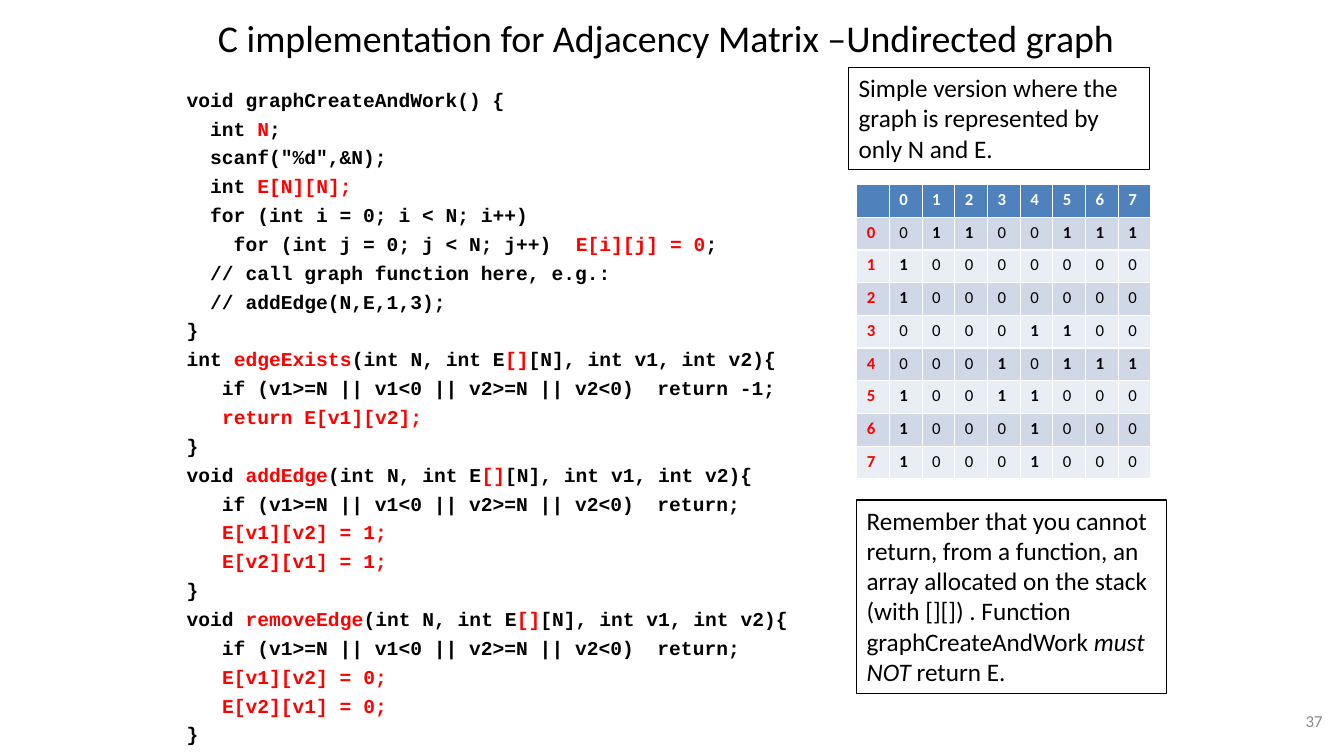
"""Build the slide on the C implementation of an adjacency matrix."""
from dataclasses import dataclass

import pptx
import pptx.dml.color
import pptx.enum.shapes
import pptx.enum.text
import pptx.oxml
import pptx.oxml.ns
import pptx.util
from pptx.util import Cm, Pt

RGBColor = pptx.dml.color.RGBColor
Align = pptx.enum.text.PP_ALIGN
Anchor = pptx.enum.text.MSO_ANCHOR
AutoSize = pptx.enum.text.MSO_AUTO_SIZE


@dataclass(frozen=True)
class Theme:
    text_font: str = "Calibri"
    code_font: str = "Courier New"
    title_size: float = 27
    note_size: float = 18
    code_size: float = 14
    small_size: float = 12
    code_gap: float = 3.8
    black: RGBColor = RGBColor(0, 0, 0)
    white: RGBColor = RGBColor(255, 255, 255)
    red: RGBColor = RGBColor(255, 0, 0)
    gray: RGBColor = RGBColor(0x8C, 0x8C, 0x8C)
    header_fill: RGBColor = RGBColor(0x4F, 0x81, 0xBD)
    band_fills: tuple[RGBColor, RGBColor] = (RGBColor(0xD0, 0xD8, 0xE8), RGBColor(0xE9, 0xED, 0xF4))


@dataclass(frozen=True)
class Box:
    left: float
    top: float
    width: float
    height: float

    def lengths(self) -> tuple[Cm, Cm, Cm, Cm]:
        return Cm(self.left), Cm(self.top), Cm(self.width), Cm(self.height)


@dataclass(frozen=True)
class Note:
    box: Box
    text: str


THEME = Theme()
MARK = "~"
TITLE = "C implementation for Adjacency Matrix –Undirected graph"
TITLE_BOX = Box(4.4, 0, 24.77, 1.9)
CODE_BOX = Box(4.45, 2.08, 16.51, 16.97)
TABLE_BOX = Box(21.59, 4.65, 7.42, 7.42)
NUMBER_BOX = Box(25.68, 17.65, 7.9, 1.02)
NOTES = (
    Note(Box(21.59, 12.6, 7.82, 4.88),
         "Remember that you cannot return, from a function, an array allocated on the stack "
         "(with [][]) . Function graphCreateAndWork ~must NOT~ return E."),
    Note(Box(21.39, 1.7, 7.59, 2.57),
         "Simple version where the graph is represented by only N and E."),
)
CODE = """\
void graphCreateAndWork() {
  int ~N~;
  scanf("%d",&N);
  int ~E[N][N];~
  for (int i = 0; i < N; i++)
    for (int j = 0; j < N; j++)  ~E[i][j] = 0~;
  // call graph function here, e.g.:
  // addEdge(N,E,1,3);
}
int ~edgeExists~(int N, int E~[]~[N], int v1, int v2){
   if (v1>=N || v1<0 || v2>=N || v2<0)  return -1;
   ~return E[v1][v2];~
}
void ~addEdge~(int N, int E~[]~[N], int v1, int v2){
   if (v1>=N || v1<0 || v2>=N || v2<0)  return;
   ~E[v1][v2] = 1;~
   ~E[v2][v1] = 1;~
}
void ~removeEdge~(int N, int E~[]~[N], int v1, int v2){
   if (v1>=N || v1<0 || v2>=N || v2<0)  return;
   ~E[v1][v2] = 0;~
   ~E[v2][v1] = 0;~
}"""
VERTEX_COUNT = 8
EDGES = {(0, 1), (0, 2), (0, 5), (0, 6), (0, 7), (3, 4), (3, 5), (4, 5), (4, 6), (4, 7)}
MATRIX = (
    "01100111",
    "10000000",
    "10000000",
    "00001100",
    "00010111",
    "10011000",
    "10001000",
    "10001000",
)


def set_font(font, size: float, color: RGBColor, name: str = THEME.text_font, bold: bool = False) -> None:
    font.name, font.size, font.bold = name, Pt(size), bold
    font.color.rgb = color


def place(shape, box: Box) -> None:
    shape.left, shape.top, shape.width, shape.height = box.lengths()


def add_marked_runs(paragraph, text: str) -> list:
    """Add the runs of a text and return those between marks."""
    marked = []
    for index, piece in enumerate(text.split(MARK)):
        if piece:
            run = paragraph.add_run()
            run.text = piece
            if index % 2:
                marked.append(run)
    return marked


def fill_title(shape) -> None:
    place(shape, TITLE_BOX)
    frame = shape.text_frame
    frame.text = TITLE
    frame.vertical_anchor, frame.auto_size = Anchor.MIDDLE, AutoSize.NONE
    paragraph = frame.paragraphs[0]
    paragraph.alignment = Align.CENTER
    set_font(paragraph.font, THEME.title_size, THEME.black)


def fill_code(shape) -> None:
    place(shape, CODE_BOX)
    frame = shape.text_frame
    frame.auto_size = AutoSize.NONE
    for index, line in enumerate(CODE.splitlines()):
        paragraph = frame.add_paragraph() if index else frame.paragraphs[0]
        paragraph.space_before = Pt(THEME.code_gap if index else 0)
        properties = paragraph._p.get_or_add_pPr()
        properties.set("marL", "0")
        properties.set("indent", "0")
        properties.append(pptx.oxml.parse_xml(f"<a:buNone {pptx.oxml.ns.nsdecls('a')}/>"))
        set_font(paragraph.font, THEME.code_size, THEME.black, THEME.code_font, True)
        for run in add_marked_runs(paragraph, line):
            run.font.color.rgb = THEME.red


def fill_cell(cell, text: str, fill: RGBColor, color: RGBColor, bold: bool) -> None:
    cell.fill.solid()
    cell.fill.fore_color.rgb = fill
    paragraph = cell.text_frame.paragraphs[0]
    paragraph.text = text
    set_font(paragraph.font, THEME.small_size, color, bold=bold)


def add_matrix(slide) -> None:
    count = len(MATRIX) + 1
    table = slide.shapes.add_table(count, count, *TABLE_BOX.lengths()).table
    for column in range(count):
        heading = str(column - 1) if column else ""
        fill_cell(table.cell(0, column), heading, THEME.header_fill, THEME.white, True)
    for row, values in enumerate(MATRIX):
        fill = THEME.band_fills[row % 2]
        fill_cell(table.cell(row + 1, 0), str(row), fill, THEME.red, True)
        for column, value in enumerate(values, 1):
            fill_cell(table.cell(row + 1, column), value, fill, THEME.black, value == "1")


def add_note(slide, note: Note) -> None:
    shape = slide.shapes.add_shape(pptx.enum.shapes.MSO_SHAPE.RECTANGLE, *note.box.lengths())
    shape.shadow.inherit = False
    shape.fill.background()
    shape.line.color.rgb, shape.line.width = THEME.black, Pt(0.75)
    frame = shape.text_frame
    frame.word_wrap, frame.vertical_anchor = True, Anchor.TOP
    frame.auto_size = AutoSize.SHAPE_TO_FIT_TEXT
    paragraph = frame.paragraphs[0]
    paragraph.alignment = Align.LEFT
    set_font(paragraph.font, THEME.note_size, THEME.black)
    for run in add_marked_runs(paragraph, note.text):
        run.font.italic = True


def add_slide_number(slide) -> None:
    frame = slide.shapes.add_textbox(*NUMBER_BOX.lengths()).text_frame
    frame.word_wrap, frame.vertical_anchor = True, Anchor.MIDDLE
    paragraph = frame.paragraphs[0]
    paragraph.text, paragraph.alignment = "37", Align.RIGHT
    set_font(paragraph.font, THEME.small_size, THEME.gray)


def main() -> None:
    presentation = pptx.Presentation()
    presentation.slide_width, presentation.slide_height = Cm(33.87), Cm(19.05)
    slide = presentation.slides.add_slide(presentation.slide_layouts[1])
    fill_title(slide.shapes.title)
    fill_code(slide.placeholders[1])
    add_slide_number(slide)
    add_matrix(slide)
    for note in NOTES:
        add_note(slide, note)
    presentation.save("out.pptx")


if __name__ == "__main__":
    main()
